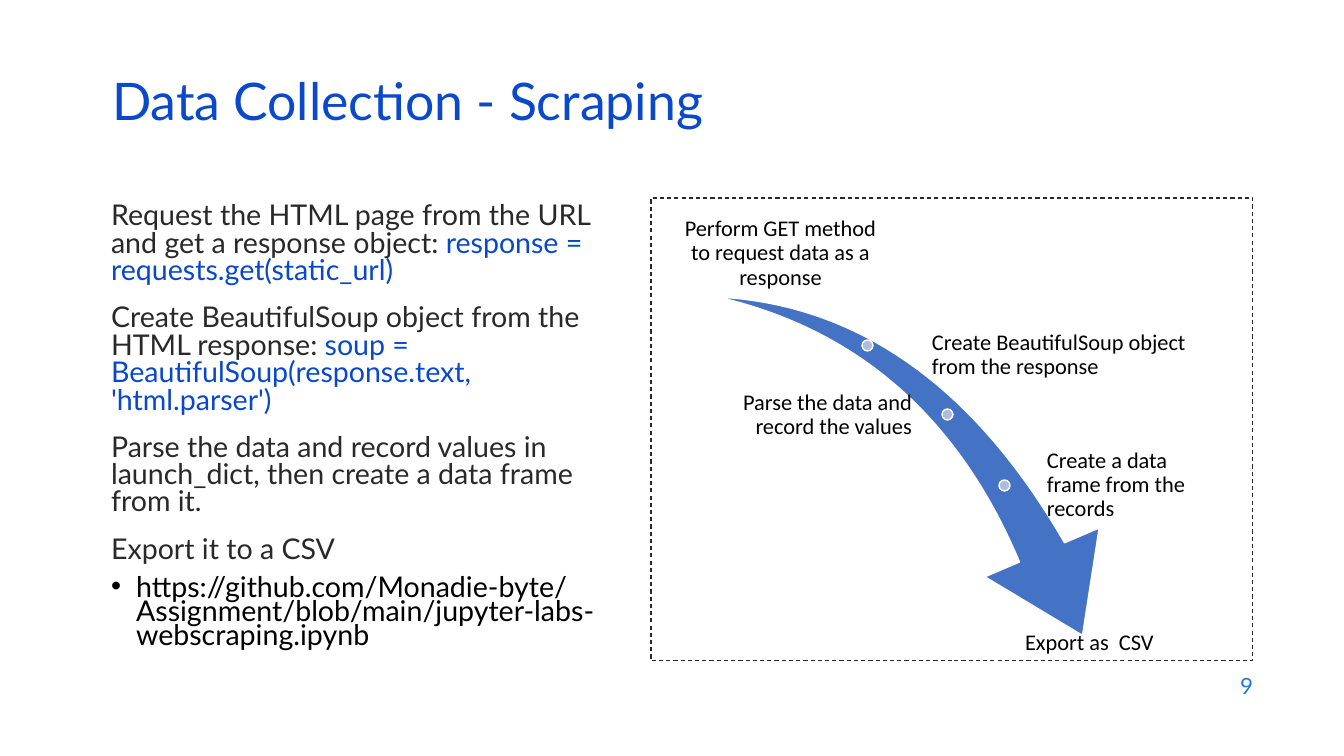
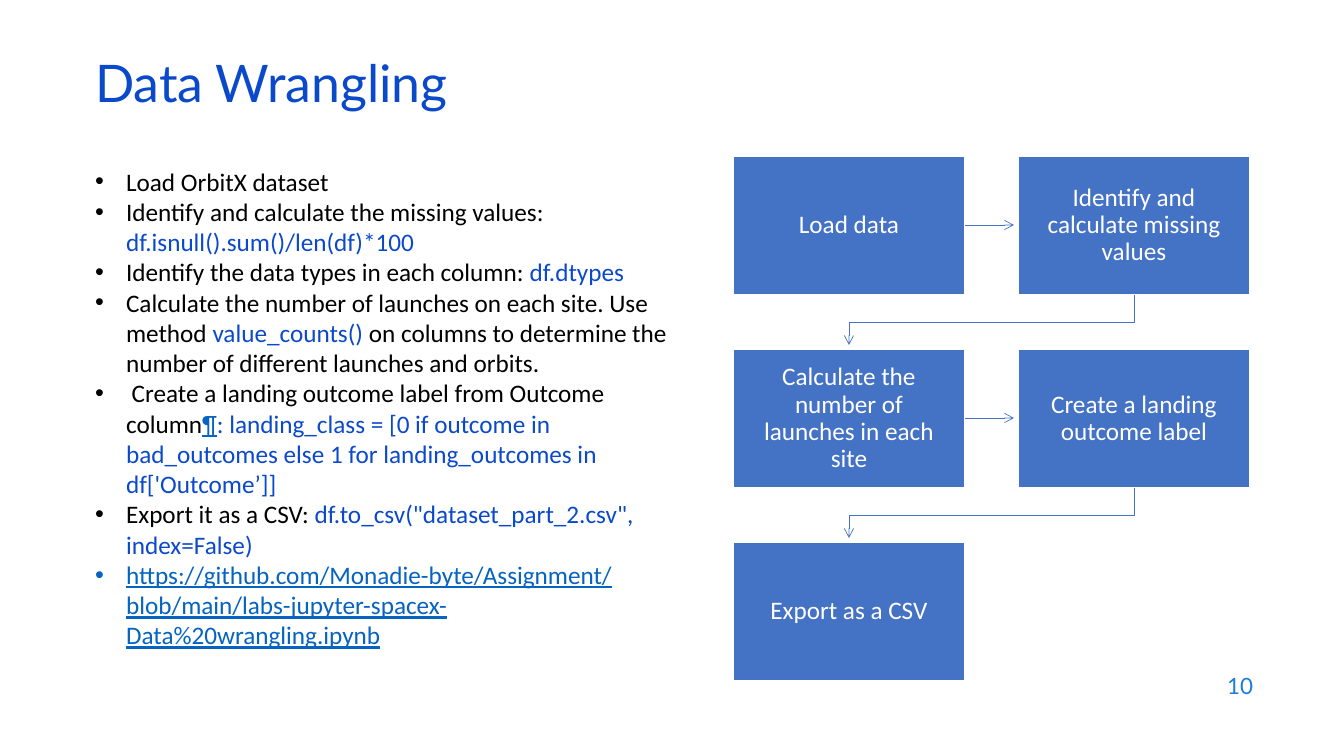
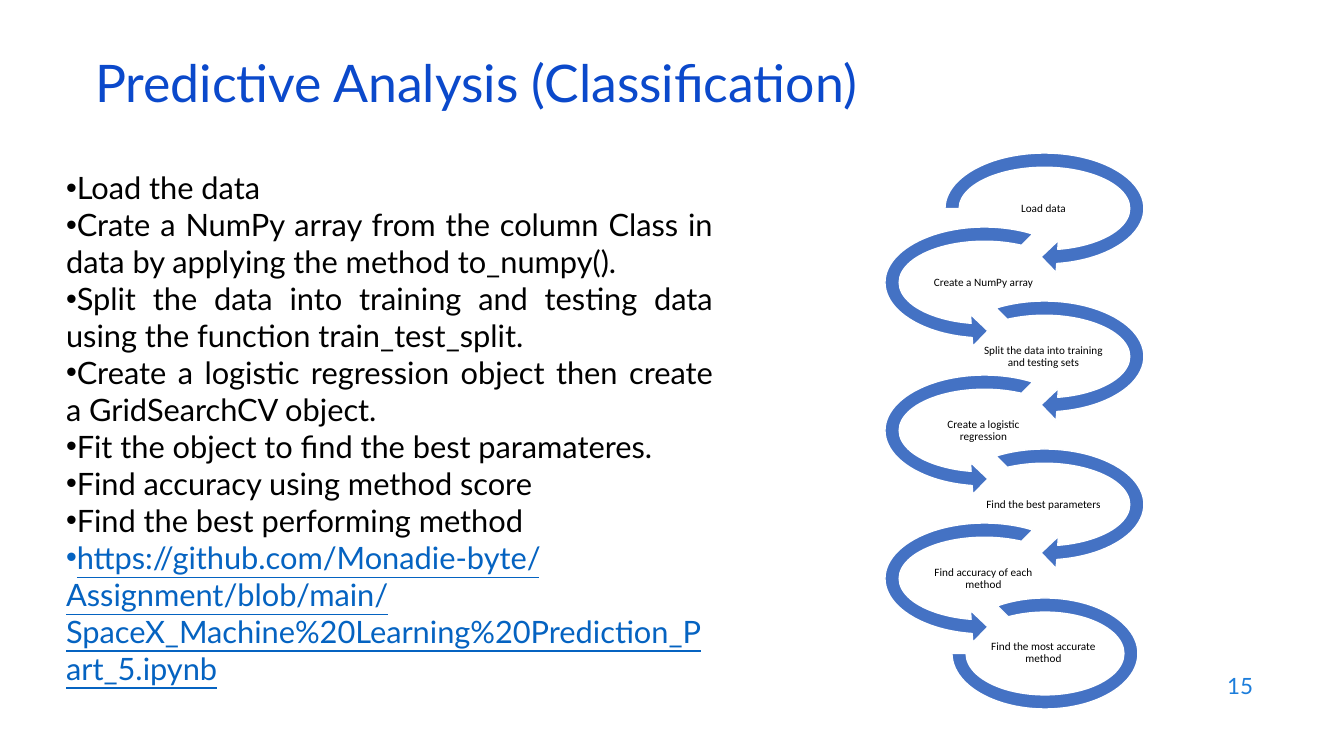
from lxml.etree import SubElement
from pptx import Presentation
from pptx.dml.color import RGBColor
from pptx.enum.dml import MSO_LINE
from pptx.enum.shapes import MSO_CONNECTOR, MSO_SHAPE
from pptx.enum.text import MSO_ANCHOR, MSO_AUTO_SIZE, PP_ALIGN
from pptx.oxml.ns import qn
from pptx.util import Pt

PX = 914400 / 100.8
TITLE_BLUE = RGBColor(0x0B, 0x49, 0xCB)
CODE_BLUE = RGBColor(0x09, 0x48, 0xCB)
NUMBER_BLUE = RGBColor(0x1C, 0x7D, 0xDB)
LINK_BLUE = RGBColor(0x05, 0x63, 0xC1)
ACCENT = RGBColor(0x44, 0x72, 0xC4)
DOT = RGBColor(0xB0, 0xBC, 0xDE)
DARK = RGBColor(0x29, 0x29, 0x29)
BLACK = RGBColor(0, 0, 0)
WHITE = RGBColor(0xFF, 0xFF, 0xFF)


def px(*values):
    """Turn pixel lengths into a list of EMU."""
    return [round(v * PX) for v in values]


class Deck:
    """Holds the shared style and the slide being built."""

    HEAD, TEXT = "Lato", "Calibri"

    def __init__(self):
        """Start an empty widescreen presentation."""
        self.prs = Presentation()
        self.prs.slide_width, self.prs.slide_height = px(1344, 756)

    def slide(self, title, number, x=85, y=59):
        """Add a slide with its title and page number."""
        self.s = self.prs.slides.add_slide(self.prs.slide_layouts[1])
        tf = self.place(self.s.shapes.title, (x, y, 1159, 60))
        tf.vertical_anchor = MSO_ANCHOR.MIDDLE
        self.para(tf, [(title, TITLE_BLUE)], 37, self.HEAD, spacing=0.7)
        self.label((961, 664, 302, 44), str(number), 16, PP_ALIGN.RIGHT,
                   font=self.HEAD, color=NUMBER_BLUE, inset=10, spacing=1)

    def place(self, sp, box):
        """Move a placeholder and return its text frame."""
        sp.left, sp.top, sp.width, sp.height = px(*box)
        sp.text_frame.auto_size = MSO_AUTO_SIZE.NONE
        return sp.text_frame

    def body(self, *box):
        """Move the body placeholder and return its text frame."""
        return self.place(self.s.placeholders[1], box)

    def para(self, tf, runs, size, font, align=PP_ALIGN.LEFT, spacing=1.0,
             before=0, bullet=False, hang=0):
        """Write one paragraph from (text, colour) runs; link runs are underlined."""
        first = not tf.paragraphs[0].runs
        p = tf.paragraphs[0] if first else tf.add_paragraph()
        pPr = p._p.get_or_add_pPr()
        pPr.set("marL", str(px(hang)[0]))
        pPr.set("indent", str(px(-hang)[0]))
        if bullet:
            SubElement(pPr, qn("a:buChar"), char="•")
        else:
            SubElement(pPr, qn("a:buNone"))
        p.alignment = align
        p.line_spacing = spacing
        p.space_before = Pt(0 if first else before)
        p.space_after = Pt(0)
        for text, color in runs:
            r = p.add_run()
            r.text = text
            r.font.name = font
            r.font.size = Pt(size)
            r.font.color.rgb = color
            if color == LINK_BLUE:
                r.font.underline = True

    def fill_text(self, sp, text, size, align, anchor, font, color, inset, spacing):
        """Write a single wrapped text into a shape or text box."""
        tf = sp.text_frame
        tf.word_wrap = True
        tf.vertical_anchor = anchor
        tf.margin_left = tf.margin_right = px(inset)[0]
        tf.margin_top = tf.margin_bottom = px(min(inset, 14))[0]
        self.para(tf, [(text, color)], size, font, align, spacing)

    def label(self, box, text, size, align=PP_ALIGN.CENTER, anchor=MSO_ANCHOR.MIDDLE,
              font=TEXT, color=BLACK, inset=2, spacing=0.9):
        """Add a text box."""
        sp = self.s.shapes.add_textbox(*px(*box))
        self.fill_text(sp, text, size, align, anchor, font, color, inset, spacing)

    def shape(self, kind, box, fill=ACCENT, line=WHITE, width=1, adj=(), rotation=0):
        """Add a preset shape, unfilled when fill is None."""
        sp = self.s.shapes.add_shape(kind, *px(*box))
        sp.shadow.inherit = False
        if fill is None:
            sp.fill.background()
        else:
            sp.fill.solid()
            sp.fill.fore_color.rgb = fill
        sp.line.color.rgb = line
        sp.line.width = Pt(width)
        for i, value in enumerate(adj):
            sp.adjustments[i] = value
        sp.rotation = rotation
        return sp

    def step(self, box, text):
        """Add a filled process box with white text."""
        sp = self.shape(MSO_SHAPE.RECTANGLE, box)
        self.fill_text(sp, text, 18, PP_ALIGN.CENTER, MSO_ANCHOR.MIDDLE,
                       self.TEXT, WHITE, 14, 0.9)

    def arrow(self, *points):
        """Add an arrow: a connector for two points, a bent line for more."""
        pts = [px(*point) for point in points]
        if len(pts) == 2:
            sp = self.s.shapes.add_connector(MSO_CONNECTOR.STRAIGHT, *pts[0], *pts[1])
            SubElement(sp._element.spPr, qn("a:effectLst"))
        else:
            fb = self.s.shapes.build_freeform(*pts[0], scale=1.0)
            fb.add_line_segments(pts[1:], close=False)
            sp = fb.convert_to_shape()
            sp.fill.background()
            sp.shadow.inherit = False
        sp.line.color.rgb = ACCENT
        sp.line.width = Pt(0.5)
        SubElement(sp.line._get_or_add_ln(), qn("a:tailEnd"), type="arrow")


def scraping(d):
    """Build the scraping slide."""
    d.slide("Data Collection - Scraping", 9, 102, 77)
    frame = d.shape(MSO_SHAPE.RECTANGLE, (651, 198, 602, 463), None, DARK, 0.75)
    frame.line.dash_style = MSO_LINE.DASH
    d.shape(MSO_SHAPE.SWOOSH_ARROW, (708, 310, 429, 299), adj=(0.163, 0.314), rotation=73.3)
    for x, y in ((862, 340), (942, 409), (999, 480)):
        d.shape(MSO_SHAPE.OVAL, (x, y, 11, 11), DOT)
    for x, y, w, text, align, anchor in (
        (679, 212, 203, "Perform GET method to request data as a response",
         PP_ALIGN.CENTER, MSO_ANCHOR.BOTTOM),
        (930, 315, 295, "Create BeautifulSoup object from the response",
         PP_ALIGN.LEFT, MSO_ANCHOR.MIDDLE),
        (679, 375, 235, "Parse the data and record the values",
         PP_ALIGN.RIGHT, MSO_ANCHOR.MIDDLE),
        (1045, 445, 180, "Create a data frame from the records",
         PP_ALIGN.LEFT, MSO_ANCHOR.MIDDLE),
        (953, 629, 273, "Export as  CSV", PP_ALIGN.CENTER, MSO_ANCHOR.TOP),
    ):
        d.label((x, y, w, 80), text, 16, align, anchor)
    tf = d.body(101, 199, 511, 466)
    for runs in (
        [("Request the HTML page from the URL and get a response object: ", DARK),
         ("response = requests.get(static_url)", CODE_BLUE)],
        [("Create BeautifulSoup object from the HTML response: ", DARK),
         ("soup = BeautifulSoup(response.text, 'html.parser')", CODE_BLUE)],
        [("Parse the data and record values in launch_dict, "
          "then create a data frame from it.", DARK)],
        [("Export it to a CSV", DARK)],
    ):
        d.para(tf, runs, 20.4, d.HEAD, spacing=0.8, before=14)
    link = ("https://github.com/Monadie-byte/Assignment/blob/main/"
            "jupyter-labs-webscraping.ipynb")
    d.para(tf, [(link, BLACK)], 20.4, d.HEAD, spacing=0.7, before=10, bullet=True, hang=25)


def wrangling(d):
    """Build the wrangling slide."""
    d.slide("Data Wrangling", 10)
    tf = d.body(85, 161, 607, 499)
    for runs in (
        [("Load OrbitX dataset", BLACK)],
        [("Identify and calculate the missing values: ", BLACK),
         ("df.isnull().sum()/len(df)*100", TITLE_BLUE)],
        [("Identify the data types in each column: ", BLACK), ("df.dtypes", TITLE_BLUE)],
        [("Calculate the number of launches on each site. Use method ", BLACK),
         ("value_counts() ", TITLE_BLUE),
         ("on columns to determine the number of different launches and orbits.", BLACK)],
        [(" Create a landing outcome label from Outcome column", BLACK),
         ("¶", LINK_BLUE),
         (": landing_class = [0 if outcome in bad_outcomes else 1 "
          "for landing_outcomes in df['Outcome’]]", TITLE_BLUE)],
        [("Export it as a CSV: ", BLACK),
         ('df.to_csv("dataset_part_2.csv", index=False)', TITLE_BLUE)],
        [("https://github.com/Monadie-byte/Assignment/blob/main/"
          "labs-jupyter-spacex-Data%20wrangling.ipynb", LINK_BLUE)],
    ):
        d.para(tf, runs, 18, d.TEXT, bullet=True, hang=31)
    steps = ("Load data", "Identify and calculate missing values",
             "Calculate the number of launches in each site",
             "Create a landing outcome label", "Export as a CSV")
    left, w, h, dx, dy = 733, 232, 139, 285, 193
    for i, text in enumerate(steps):
        row, col = divmod(i, 2)
        x, y = left + dx * col, 156 + dy * row
        d.step((x, y, w, h), text)
        if i == len(steps) - 1:
            break
        if col == 0:
            mid = y + h // 2
            d.arrow((x + w, mid), (x + dx - 4, mid))
        else:
            start, end, bend = x + w // 2, left + w // 2, y + h + 27
            d.arrow((start, y + h), (start, bend), (end, bend), (end, y + dy - 4))


def classification(d):
    """Build the classification slide."""
    d.slide("Predictive Analysis (Classification)", 15)
    tf = d.body(56, 164, 667, 564)
    for text in (
        "Load the data",
        "Crate a NumPy array from the column Class in data by applying the method to_numpy().",
        "Split the data into training and testing data using the function train_test_split.",
        "Create a logistic regression object then create a GridSearchCV object.",
        "Fit the object to find the best paramateres.",
        "Find accuracy using method score",
        "Find the best performing method",
        "https://github.com/Monadie-byte/Assignment/blob/main/"
        "SpaceX_Machine%20Learning%20Prediction_Part_5.ipynb",
    ):
        color = LINK_BLUE if text.startswith("https") else BLACK
        d.para(tf, [(text, color)], 22, d.HEAD, PP_ALIGN.JUSTIFY, bullet=True)
    stages = ("Load data", "Create a NumPy array",
              "Split the data into training and testing sets",
              "Create a logistic regression", "Find the best parameters",
              "Find accuracy of each method", "Find the most accurate method")
    for i, text in enumerate(stages):
        x, y = 876 if i % 2 else 936, 144 + 74 * i
        if i == len(stages) - 1:
            d.shape(MSO_SHAPE.BLOCK_ARC, (x + 16, y + 10, 186, 111), adj=(135, 108, 0.127))
        elif i % 2:
            d.shape(MSO_SHAPE.LEFT_CIRCULAR_ARROW, (x, y, 217, 129),
                    adj=(0.11, 11.423, 63, 189, 0.125))
        else:
            d.shape(MSO_SHAPE.CIRCULAR_ARROW, (x, y, 217, 129),
                    adj=(0.11, 11.423, 45, 135 if i else 108, 0.125))
        d.label((x + 47, y + 47, 121, 36), text, 8, inset=1)


def main():
    """Build and save the deck."""
    d = Deck()
    scraping(d)
    wrangling(d)
    classification(d)
    d.prs.save("out.pptx")


if __name__ == "__main__":
    main()
